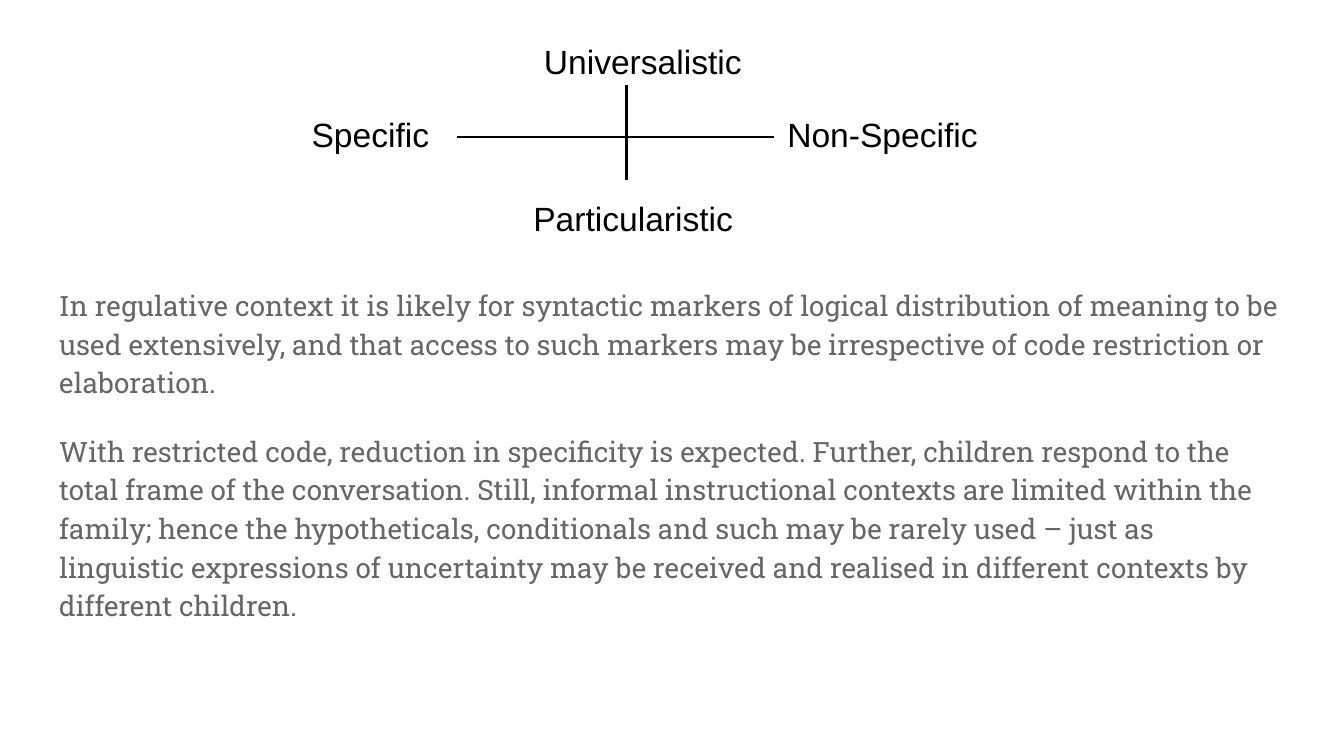
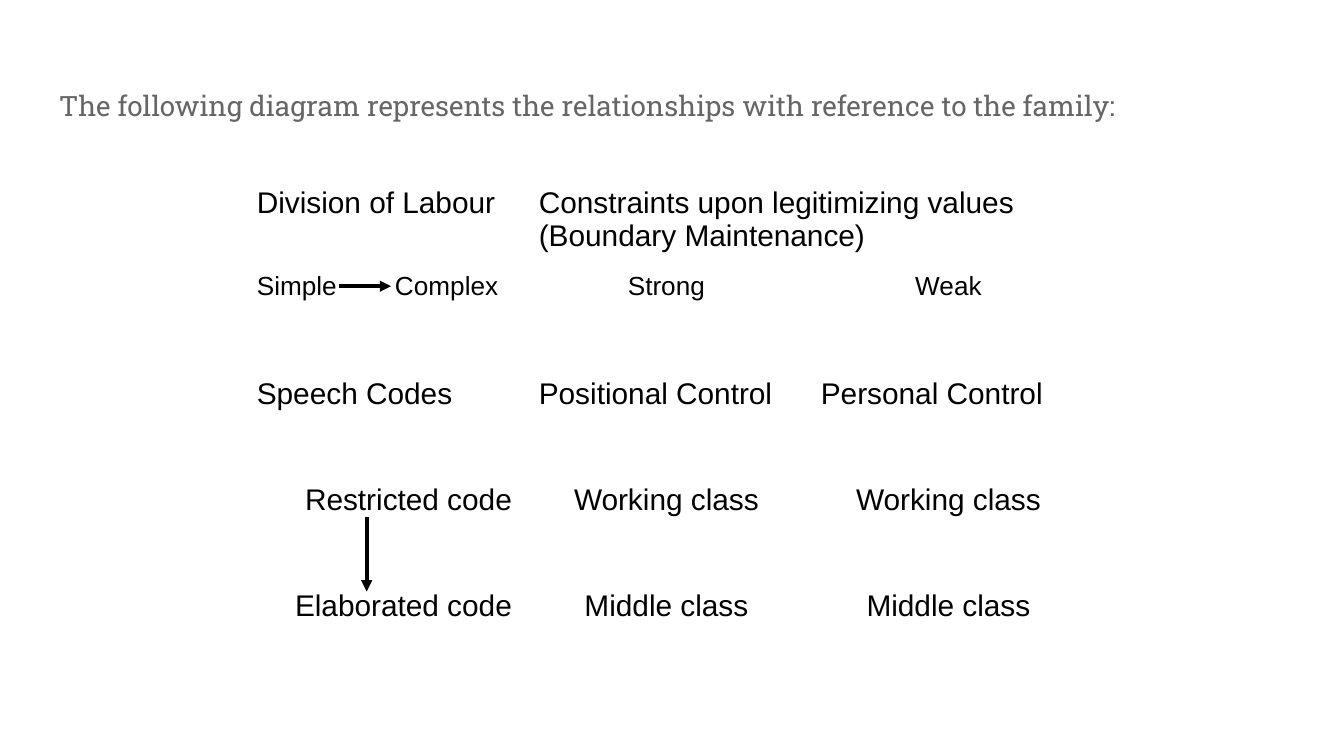
from lxml.etree import SubElement
from pptx import Presentation
from pptx.dml.color import RGBColor as Rgb
from pptx.enum.shapes import MSO_CONNECTOR as Link
from pptx.enum.text import PP_ALIGN as Align
from pptx.oxml import parse_xml
from pptx.oxml.ns import nsdecls, qn
from pptx.util import Cm, Pt

COLORS = {"ink": "000000", "prose": "666666", "paper": "FFFFFF"}


def write(frame, paragraphs, size, font="Arial", color="ink", align=None, inset=0.13):
    frame.word_wrap = True
    frame.margin_left = frame.margin_right = Cm(0.25)
    frame.margin_top = frame.margin_bottom = Cm(inset)
    for index, text in enumerate(paragraphs):
        paragraph = frame.paragraphs[0] if index == 0 else frame.add_paragraph()
        paragraph.alignment = align
        if font == "Roboto Slab":
            paragraph.line_spacing = 1.15
            paragraph.space_before = Pt(16 if index else 0)
        run = paragraph.add_run()
        run.text = text
        run.font.size = Pt(size)
        run.font.name = font
        run.font.color.rgb = Rgb.from_string(COLORS[color])


def draw_line(slide, x1, y1, x2, y2, width, arrow=False):
    line = slide.shapes.add_connector(Link.STRAIGHT, Cm(x1), Cm(y1), Cm(x2), Cm(y2))
    line.line.color.rgb = Rgb.from_string(COLORS["ink"])
    line.line.width = Pt(width)
    if arrow:
        SubElement(line.line._get_or_add_ln(), qn("a:tailEnd"), type="triangle")
    SubElement(line._element.spPr, qn("a:effectLst"))


deck = Presentation()
deck.slide_width, deck.slide_height = Cm(25.4), Cm(14.29)
contexts, family = [deck.slides.add_slide(deck.slide_layouts[6]) for _ in range(2)]

prose = [
    (contexts, 5.11, 7.8, [
        "In regulative context it is likely for syntactic markers of logical distribution of "
        "meaning to be used extensively, and that access to such markers may be irrespective "
        "of code restriction or elaboration.",
        "With restricted code, reduction in specificity is expected. Further, children respond "
        "to the total frame of the conversation. Still, informal instructional contexts are "
        "limited within the family; hence the hypotheticals, conditionals and such may be "
        "rarely used – just as linguistic expressions of uncertainty may be received and "
        "realised in different contexts by different children.",
    ]),
    (family, 1.32, 11.58, [
        "The following diagram represents the relationships with reference to the family:",
    ]),
]
for slide, top, height, paragraphs in prose:
    slide.background.fill.solid()
    slide.background.fill.fore_color.rgb = Rgb.from_string(COLORS["paper"])
    body = slide.shapes.add_textbox(Cm(0.87), Cm(top), Cm(23.67), Cm(height))
    write(body.text_frame, paragraphs, 15, "Roboto Slab", "prose", inset=0.25)

draw_line(contexts, 8.64, 2.59, 14.63, 2.59, 1.42)
draw_line(contexts, 11.84, 1.6, 11.84, 3.4, 1.42)
poles = [
    ("Universalistic", 10.03, 0.64, 5),
    ("Particularistic", 9.83, 3.61, 4.4),
    ("Specific", 5.64, 2.03, 3.8),
    ("Non-Specific", 14.63, 2.03, 6.6),
]
for pole, left, top, width in poles:
    label = contexts.shapes.add_textbox(Cm(left), Cm(top), Cm(width), Cm(0.97))
    write(label.text_frame, [pole], 18)

L, C, R = Align.LEFT, Align.CENTER, Align.RIGHT
rows = [
    (1.6, 16, (L, L, L), ("Division of Labour",
                          "Constraints upon legitimizing values (Boundary Maintenance)", "")),
    (2, 14, (L, C, C), ("Simple\tComplex", "Strong", "Weak")),
    (2, 16, (L, L, L), ("Speech Codes", "Positional Control", "Personal Control")),
    (2, 16, (R, C, C), ("Restricted code", "Working class", "Working class")),
    (2, 16, (R, C, C), ("Elaborated code", "Middle class", "Middle class")),
]
grid = family.shapes.add_table(5, 3, Cm(4.6), Cm(3.4), Cm(16), Cm(9.6)).table
grid.first_row = grid.horz_banding = False
for column in grid.columns:
    column.width = Cm(5.33)
grid.cell(0, 1).merge(grid.cell(0, 2))
for r, (height, size, aligns, texts) in enumerate(rows):
    grid.rows[r].height = Cm(height)
    for c, (align, text) in enumerate(zip(aligns, texts)):
        cell = grid.cell(r, c)
        cell.fill.solid()
        cell.fill.fore_color.rgb = Rgb.from_string(COLORS["paper"])
        for place, side in enumerate(("lnL", "lnR", "lnT", "lnB")):
            cell._tc.tcPr.insert(place, parse_xml(
                f'<a:{side} {nsdecls("a")} w="762"><a:solidFill>'
                f'<a:srgbClr val="{COLORS["paper"]}"/></a:solidFill></a:{side}>'))
        if text:
            write(cell.text_frame, [text], size, align=align)

scale = grid.cell(1, 0).text_frame.paragraphs[0]._p.get_or_add_pPr()
SubElement(SubElement(scale, qn("a:tabLst")), qn("a:tab"), pos=str(Cm(2.61)), algn="l")

draw_line(family, 6.4, 5.41, 7.39, 5.41, 0, arrow=True)
draw_line(family, 6.93, 9.78, 6.93, 11.18, 0, arrow=True)

deck.save("out.pptx")
